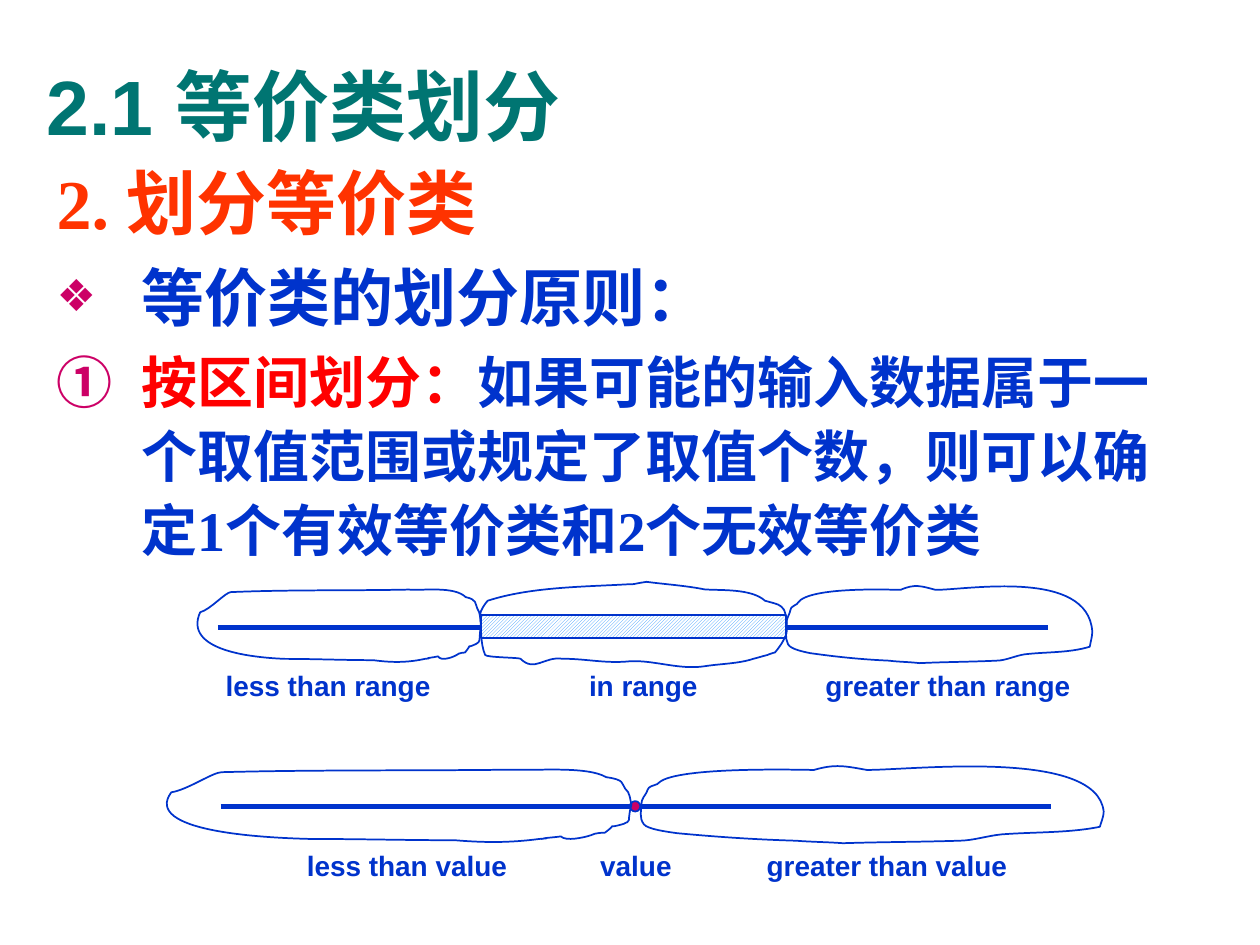
from dataclasses import dataclass

from lxml.etree import SubElement
from pptx import Presentation
from pptx.dml.color import RGBColor
from pptx.enum.dml import MSO_PATTERN
from pptx.enum.shapes import MSO_CONNECTOR, MSO_SHAPE
from pptx.enum.text import MSO_ANCHOR, MSO_AUTO_SIZE, PP_ALIGN
from pptx.oxml.ns import qn
from pptx.util import Cm, Pt


@dataclass(frozen=True)
class Theme:
    """Colours, fonts and type sizes of the slide."""
    teal: RGBColor = RGBColor(0x00, 0x75, 0x72)
    orange: RGBColor = RGBColor(0xFF, 0x33, 0x00)
    blue: RGBColor = RGBColor(0x00, 0x33, 0xCC)
    red: RGBColor = RGBColor(0xFF, 0x00, 0x00)
    magenta: RGBColor = RGBColor(0xCC, 0x00, 0x66)
    hatch: RGBColor = RGBColor(0x33, 0x99, 0xFF)
    white: RGBColor = RGBColor(0xFF, 0xFF, 0xFF)
    sans: str = "Arial"
    serif: str = "Times New Roman"
    chinese: str = "Noto Sans CJK SC"
    title_size: int = 44
    heading_size: int = 40
    bullet_size: int = 36
    rule_size: int = 32
    label_size: int = 16
    axis_width: int = 3
    outline_width: int = 1


@dataclass(frozen=True)
class Box:
    """A rectangle in centimetres."""
    left: float
    top: float
    width: float
    height: float

    def inside(self, left, top, width, height):
        """Return a box offset from this box's corner."""
        return Box(self.left + left, self.top + top, width, height)

    def lengths(self):
        """Return left, top, width and height as lengths."""
        return Cm(self.left), Cm(self.top), Cm(self.width), Cm(self.height)


@dataclass(frozen=True)
class Outline:
    """A closed curve: a start point, then three points for each Bezier segment."""
    width: int
    height: int
    points: tuple


THEME = Theme()

LOWER_OUTLINE = Outline(388, 61, (
    (388, 31), (387, 27), (387, 21), (383, 18), (380, 14), (383, 11), (368, 9),
    (353, 0), (312, 4), (294, 3), (217, 4), (140, 3), (63, 5),
    (56, 5), (36, 19), (23, 21), (0, 52), (94, 57), (133, 58),
    (171, 58), (210, 59), (248, 59), (272, 61), (292, 61), (315, 58),
    (328, 57), (314, 58), (317, 58), (319, 57), (325, 57), (332, 56),
    (336, 60), (350, 57), (356, 55), (359, 53), (367, 53), (367, 53),
    (379, 44), (365, 51), (382, 46), (385, 44), (384, 46), (386, 43),
    (386, 41), (387, 33), (388, 31)))

MIDDLE_OUTLINE = Outline(244, 72, (
    (117, 2), (82, 4), (40, 4), (6, 15), (4, 17), (0, 23), (0, 26),
    (1, 36), (0, 49), (4, 58), (5, 60), (30, 60), (32, 61),
    (43, 72), (51, 59), (65, 61), (85, 61), (99, 65), (119, 63),
    (138, 62), (158, 70), (178, 67), (190, 65), (205, 65), (217, 61),
    (221, 60), (224, 59), (228, 58), (230, 57), (234, 56), (234, 56),
    (238, 51), (241, 47), (243, 41), (244, 36), (243, 26), (241, 22),
    (238, 18), (237, 18), (226, 15), (215, 5), (190, 7), (178, 6),
    (163, 3), (147, 2), (132, 0), (119, 2), (124, 2), (117, 2)))

UPPER_OUTLINE = Outline(369, 75, (
    (139, 17), (131, 17), (30, 14), (16, 27), (15, 29), (10, 29), (8, 31),
    (7, 32), (7, 33), (6, 35), (5, 37), (2, 40), (2, 44),
    (2, 49), (0, 55), (4, 60), (7, 64), (23, 66), (30, 67),
    (62, 70), (91, 72), (125, 73), (137, 74), (149, 74), (162, 75),
    (192, 74), (223, 74), (254, 73), (265, 73), (277, 69), (288, 68),
    (314, 66), (341, 67), (366, 62), (367, 58), (369, 54), (369, 50),
    (364, 0), (219, 17), (181, 17), (164, 14), (156, 12), (139, 17)))


def add_span(para, text, color, font_name):
    """Add a run with its colour, Latin font and Chinese font."""
    span = para.add_run()
    span.text = text
    span.font.color.rgb = color
    span.font.name = font_name
    SubElement(span.font._element, qn("a:ea"), typeface=THEME.chinese)


def format_para(para, size):
    """Set the bold type size shared by all runs of a paragraph."""
    para.font.size = Pt(size)
    para.font.bold = True


def set_bullet(para, tag, size_percent=100, **attributes):
    """Give a paragraph a hanging indent and a bullet."""
    properties = para._p.get_or_add_pPr()
    indent = Cm(1.7)
    properties.set("marL", str(indent))
    properties.set("indent", str(-indent))
    if tag != "a:buNone":
        color = SubElement(properties, qn("a:buClr"))
        SubElement(color, qn("a:srgbClr"), val=str(THEME.magenta))
        SubElement(properties, qn("a:buSzPct"), val=str(size_percent * 1000))
    SubElement(properties, qn(tag), **attributes)


def place(shape, box):
    """Move and size a shape to a box."""
    shape.left, shape.top, shape.width, shape.height = box.lengths()


def place_title(page, box):
    """Fill the title placeholder."""
    title = page.shapes.title
    place(title, box)
    frame = title.text_frame
    frame.auto_size = MSO_AUTO_SIZE.NONE
    frame.vertical_anchor = MSO_ANCHOR.MIDDLE
    para = frame.paragraphs[0]
    para.alignment = PP_ALIGN.LEFT
    format_para(para, THEME.title_size)
    add_span(para, "2.1 等价类划分", THEME.teal, THEME.sans)


def place_body(page, box):
    """Fill the body placeholder with the heading, bullet and numbered rule."""
    body = page.placeholders[1]
    place(body, box)
    frame = body.text_frame
    frame.auto_size = MSO_AUTO_SIZE.NONE
    blue, sans, serif = THEME.blue, THEME.sans, THEME.serif
    items = (
        (THEME.heading_size, {"tag": "a:buNone"},
         (("2. ", THEME.orange, serif), ("划分等价类", THEME.orange, sans))),
        (THEME.bullet_size, {"tag": "a:buChar", "size_percent": 70, "char": "❖"},
         (("等价类的划分原则：", blue, sans),)),
        (THEME.rule_size, {"tag": "a:buAutoNum", "type": "circleNumDbPlain"},
         (("按区间划分：", THEME.red, THEME.chinese),
          ("如果可能的输入数据属于一个取值范围或规定了取值个数，则可以确定", blue, sans),
          ("1", blue, serif), ("个有效等价类和", blue, sans),
          ("2", blue, serif), ("个无效等价类", blue, sans))),
    )
    for index, (size, bullet, spans) in enumerate(items):
        para = frame.add_paragraph() if index else frame.paragraphs[0]
        para.line_spacing = 1.1
        para.space_before = Pt(2 if index else 0)
        para.space_after = Pt(2)
        set_bullet(para, **bullet)
        format_para(para, size)
        for span in spans:
            add_span(para, *span)


def draw_axis(page, box):
    """Draw a thick horizontal line along the top of a box."""
    left, top, width, _ = box.lengths()
    axis = page.shapes.add_connector(MSO_CONNECTOR.STRAIGHT, left, top, left + width, top)
    axis.line.color.rgb = THEME.blue
    axis.line.width = Pt(THEME.axis_width)
    SubElement(axis._element.spPr, qn("a:effectLst"))


def style_outline(shape):
    """Give a shape a thin blue line and no shadow."""
    shape.shadow.inherit = False
    shape.line.color.rgb = THEME.blue
    shape.line.width = Pt(THEME.outline_width)


def draw_marker(page, kind, box):
    """Draw a preset shape on the axis and return it."""
    marker = page.shapes.add_shape(kind, *box.lengths())
    style_outline(marker)
    return marker


def draw_region(page, box, outline):
    """Draw a curved outline stretched to a box."""
    left, top, width, height = box.lengths()
    scale = width / outline.width, height / outline.height
    builder = page.shapes.build_freeform(*outline.points[0], scale=scale)
    builder.add_line_segments(outline.points[1:], close=True)
    region = builder.convert_to_shape(left, top)
    segments = list(region._element.iter(qn("a:lnTo")))
    for start in range(0, len(segments), 3):
        curve = segments[start].makeelement(qn("a:cubicBezTo"))
        segments[start].addprevious(curve)
        for segment in segments[start:start + 3]:
            curve.append(segment[0])
            segment.getparent().remove(segment)
    region.fill.background()
    style_outline(region)


def draw_label(page, box, text):
    """Write a centred label."""
    frame = page.shapes.add_textbox(*box.lengths()).text_frame
    frame.word_wrap = False
    frame.auto_size = MSO_AUTO_SIZE.SHAPE_TO_FIT_TEXT
    para = frame.paragraphs[0]
    para.alignment = PP_ALIGN.CENTER
    format_para(para, THEME.label_size)
    add_span(para, text, THEME.blue, THEME.sans)


def place_range_diagram(page, box):
    """Draw the three classes of a range."""
    draw_axis(page, box.inside(0.71, 1.19, 16.74, 0))
    band = draw_marker(page, MSO_SHAPE.RECTANGLE, box.inside(6.02, 0.94, 6.15, 0.46))
    band.fill.patterned()
    band.fill.pattern = MSO_PATTERN.LIGHT_UPWARD_DIAGONAL
    band.fill.fore_color.rgb = THEME.hatch
    band.fill.back_color.rgb = THEME.white
    draw_region(page, box.inside(6, 0.27, 6.2, 1.83), MIDDLE_OUTLINE)
    draw_region(page, box.inside(12.14, 0, 6.2, 1.91), UPPER_OUTLINE)
    draw_region(page, box.inside(0, 0.35, 6.02, 1.55), LOWER_OUTLINE)
    draw_label(page, box.inside(7.93, 1.9, 2.72, 0.94), "in range")
    draw_label(page, box.inside(12.7, 1.9, 5.46, 0.94), "greater than range")
    draw_label(page, box.inside(0.61, 1.9, 4.65, 0.94), "less than range")


def place_value_diagram(page, box):
    """Draw the three classes around a single value."""
    draw_axis(page, box.inside(1.58, 1.17, 16.73, 0))
    dot = draw_marker(page, MSO_SHAPE.OVAL, box.inside(9.83, 1.06, 0.21, 0.21))
    dot.fill.solid()
    dot.fill.fore_color.rgb = THEME.magenta
    draw_region(page, box.inside(10.01, 0, 9.37, 1.91), UPPER_OUTLINE)
    draw_region(page, box.inside(0, 0.35, 9.86, 1.55), LOWER_OUTLINE)
    draw_label(page, box.inside(8.97, 1.9, 1.96, 0.94), "value")
    draw_label(page, box.inside(12.32, 1.9, 5.38, 0.94), "greater than value")
    draw_label(page, box.inside(3.05, 1.9, 4.57, 0.94), "less than value")


def main():
    """Build and save the deck."""
    deck = Presentation()
    deck.slide_width, deck.slide_height = Cm(25.4), Cm(19.05)
    page = deck.slides.add_slide(deck.slide_layouts[1])
    place_title(page, Box(0.69, 0.53, 23.72, 3.18))
    place_body(page, Box(0.89, 2.92, 23.39, 15.6))
    place_range_diagram(page, Box(3.68, 11.46, 18.34, 2.84))
    place_value_diagram(page, Box(2.87, 15.09, 19.38, 2.84))
    deck.save("out.pptx")


if __name__ == "__main__":
    main()
